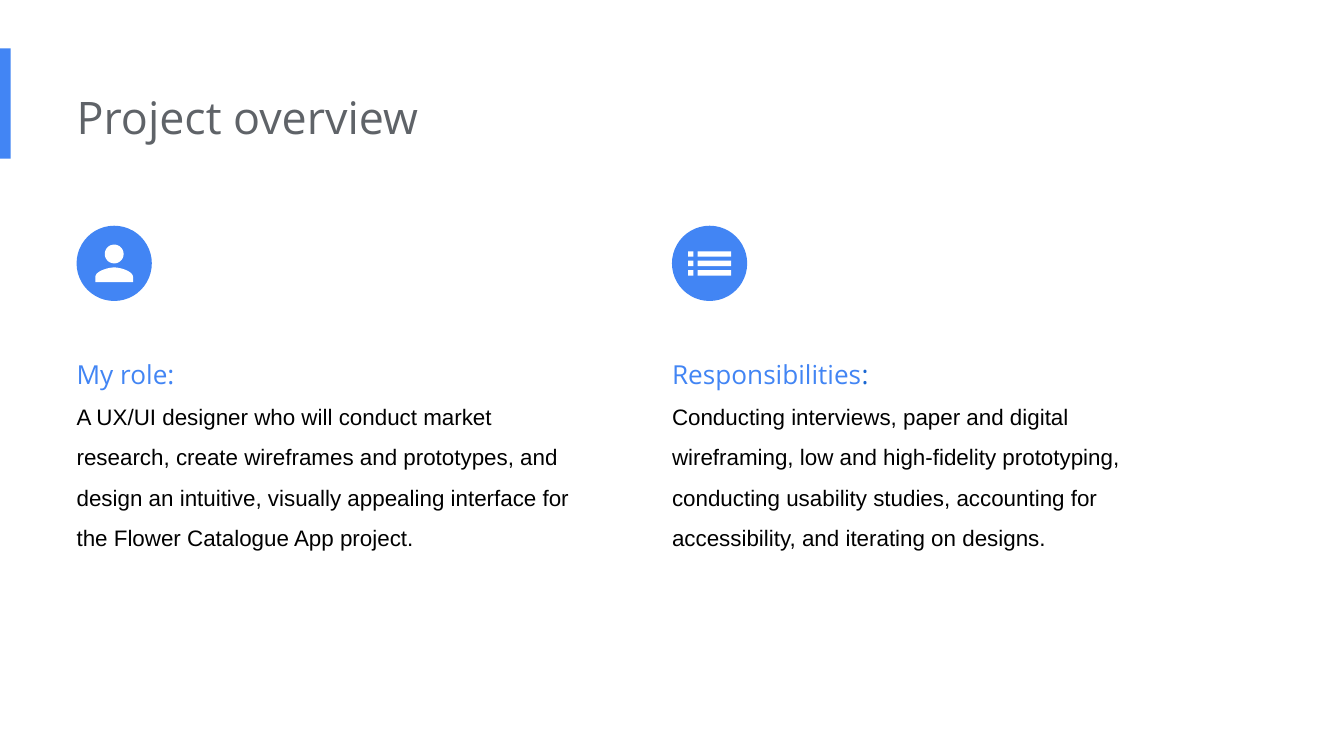
import math

import pptx
import pptx.dml.color
import pptx.enum.shapes
import pptx.enum.text
import pptx.util
from lxml import etree

Inches = pptx.util.Inches
Pt = pptx.util.Pt
RGBColor = pptx.dml.color.RGBColor
MSO_SHAPE = pptx.enum.shapes.MSO_SHAPE

BLUE = RGBColor(0x42, 0x85, 0xF4)
DARK_BLUE = RGBColor(0x19, 0x67, 0xD2)
GRAY = RGBColor(0x5F, 0x63, 0x68)
BLACK = RGBColor(0, 0, 0)
WHITE = RGBColor(0xFF, 0xFF, 0xFF)

HEADING_FONT = "Open Sans"
BODY_FONT = "Arial"

SLIDE_WIDTH = 10
SLIDE_HEIGHT = SLIDE_WIDTH * 9 / 16
BADGE_SIZE = 0.56
BADGE_TOP = 1.68
BODY_TOP = 2.45
COLUMN_WIDTH = 3.77
LEFT_COLUMN, RIGHT_COLUMN = 0.57, 5


def box_outline(left, top, width, height):
    return [(left, top), (left + width, top),
            (left + width, top + height), (left, top + height)]


def curve_points(start, control_1, control_2, end, steps=16):
    """Return points along a cubic Bezier curve."""
    points = []
    for step in range(steps + 1):
        t = step / steps
        weights = ((1 - t) ** 3, 3 * t * (1 - t) ** 2, 3 * t ** 2 * (1 - t), t ** 3)
        corners = (start, control_1, control_2, end)
        points.append(tuple(sum(w * corner[axis] for w, corner in zip(weights, corners))
                            for axis in (0, 1)))
    return points


def person_outlines():
    """Return the head and shoulders around a centre at (0, 0)."""
    angles = [math.tau * step / 48 for step in range(48)]
    head = [(0.07 * math.cos(a), 0.07 * math.sin(a) - 0.07) for a in angles]
    left_shoulder = curve_points((-0.14, 0.1), (-0.14, 0.06), (-0.05, 0.03), (0, 0.03))
    right_shoulder = [(-x, y) for x, y in reversed(left_shoulder)]
    return [head, [(-0.14, 0.14)] + left_shoulder + right_shoulder + [(0.14, 0.14)]]


def list_outlines():
    """Return three rows of dot and bar around a centre at (0, 0)."""
    outlines = []
    for row in (-1, 0, 1):
        top = 0.07 * row - 0.02
        outlines.append(box_outline(-0.16, top, 0.04, 0.04))
        outlines.append(box_outline(-0.09, top, 0.25, 0.04))
    return outlines


class SlideBuilder:
    def __init__(self, slide):
        self.slide = slide

    def paint(self, shape, color):
        shape.shadow.inherit = False
        shape.fill.solid()
        shape.fill.fore_color.rgb = color
        shape.line.fill.background()

    def shape(self, kind, left, top, width, height, color):
        shape = self.slide.shapes.add_shape(
            kind, Inches(left), Inches(top), Inches(width), Inches(height))
        self.paint(shape, color)

    def icon(self, outlines, center_x, center_y, color):
        builder = None
        for outline in outlines:
            start, *others = [(Inches(center_x + x), Inches(center_y + y)) for x, y in outline]
            if builder is None:
                builder = self.slide.shapes.build_freeform(*start)
            else:
                builder.move_to(*start)
            builder.add_line_segments(others, close=True)
        self.paint(builder.convert_to_shape(), color)

    def badge(self, left, outlines):
        self.shape(MSO_SHAPE.OVAL, left, BADGE_TOP, BADGE_SIZE, BADGE_SIZE, BLUE)
        self.icon(outlines, left + BADGE_SIZE / 2, BADGE_TOP + BADGE_SIZE / 2, WHITE)

    def place(self, placeholder, left, top, width, height):
        placeholder.left, placeholder.top = Inches(left), Inches(top)
        placeholder.width, placeholder.height = Inches(width), Inches(height)
        frame = placeholder.text_frame
        frame.margin_left = 0
        frame.margin_top = frame.margin_right = frame.margin_bottom = Inches(0.1)
        frame.vertical_anchor = pptx.enum.text.MSO_ANCHOR.TOP
        frame.auto_size = pptx.enum.text.MSO_AUTO_SIZE.NONE
        frame.word_wrap = True
        return frame

    def paragraph(self, paragraph, runs, font_name, size):
        paragraph.alignment = pptx.enum.text.PP_ALIGN.LEFT
        paragraph.font.name = font_name
        paragraph.font.size = Pt(size)
        for text, color in runs:
            run = paragraph.add_run()
            run.text = text
            run.font.color.rgb = color

    def title(self, text):
        frame = self.place(self.slide.shapes.title, LEFT_COLUMN, 0.57, 6.73, 0.61)
        self.paragraph(frame.paragraphs[0], [(text, GRAY)], HEADING_FONT, 24)

    def body(self, index, left, height, heading_runs, text):
        frame = self.place(self.slide.placeholders[index], left, BODY_TOP, COLUMN_WIDTH, height)
        self.paragraph(frame.paragraphs[0], heading_runs, HEADING_FONT, 14)
        self.paragraph(frame.add_paragraph(), [(text, BLACK)], BODY_FONT, 12)
        for paragraph in frame.paragraphs:
            paragraph.line_spacing = 1.5
            paragraph.space_before = Pt(0)
            self.remove_bullet(paragraph)

    def remove_bullet(self, paragraph):
        properties = paragraph._p.get_or_add_pPr()
        properties.set("marL", "0")
        properties.set("indent", "0")
        bullet = etree.Element(pptx.oxml.ns.qn("a:buNone"))
        properties.find(pptx.oxml.ns.qn("a:spcBef")).addnext(bullet)


def main():
    presentation = pptx.Presentation()
    presentation.slide_width = Inches(SLIDE_WIDTH)
    presentation.slide_height = Inches(SLIDE_HEIGHT)
    two_content_layout = presentation.slide_layouts[3]
    builder = SlideBuilder(presentation.slides.add_slide(two_content_layout))

    builder.shape(MSO_SHAPE.RECTANGLE, 0, 0.36, 0.08, 0.82, BLUE)
    builder.title("Project overview")
    builder.body(
        1, LEFT_COLUMN, 2.98, [("My role:", BLUE)],
        "A UX/UI designer who will conduct market research, create wireframes and "
        "prototypes, and design an intuitive, visually appealing interface for the "
        "Flower Catalogue App project.")
    builder.body(
        2, RIGHT_COLUMN, 1.77, [("Responsibilities", BLUE), (":", DARK_BLUE)],
        "Conducting interviews, paper and digital wireframing, low and high-fidelity "
        "prototyping, conducting usability studies, accounting for accessibility, and "
        "iterating on designs.")
    builder.badge(LEFT_COLUMN, person_outlines())
    builder.badge(RIGHT_COLUMN, list_outlines())

    presentation.save("out.pptx")


if __name__ == "__main__":
    main()
